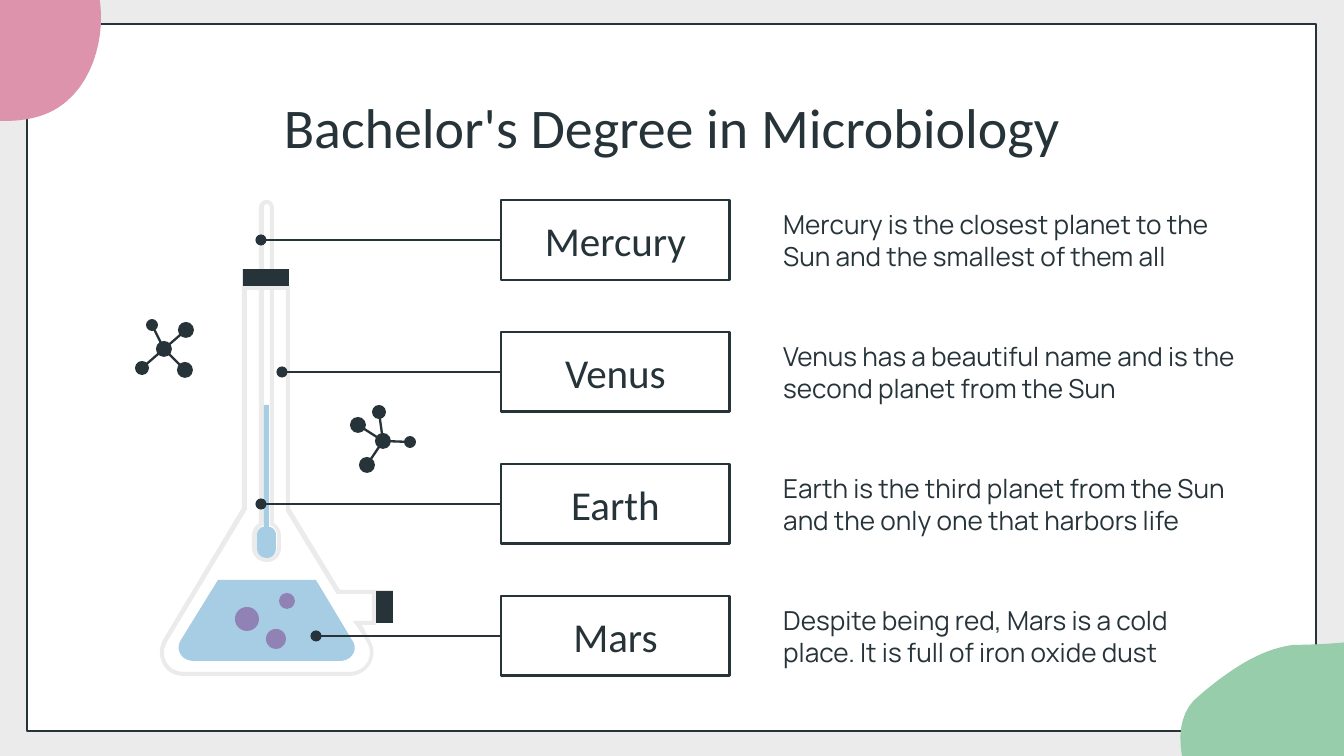
import pptx
import pptx.dml.color
import pptx.enum.shapes
import pptx.enum.text
import pptx.oxml
import pptx.oxml.ns
import pptx.util

EMU_PER_PX = 914400 / 134.4
INK, WHITE, GREY = "263339", "FFFFFF", "EBEBEB"
PINK, GREEN, BLUE, PURPLE = "DC93AB", "98CDAB", "A6CDE4", "9182B5"
SHAPE = pptx.enum.shapes.MSO_SHAPE
ALIGN = pptx.enum.text.PP_ALIGN
ANCHOR = pptx.enum.text.MSO_ANCHOR

ROWS = [
    ("Mercury", "Mercury is the closest planet to the Sun and the smallest of them all", 261),
    ("Venus", "Venus has a beautiful name and is the second planet from the Sun", 282),
    ("Earth", "Earth is the third planet from the Sun and the only one that harbors life", 261),
    ("Mars", "Despite being red, Mars is a cold place. It is full of iron oxide dust", 316),
]
PINK_BLOB = [
    (-20, -79), (-98, -79, -171, -26, -98, 75), (-74, 103, -34, 121, 5, 121),
    (28, 121, 50, 116, 67, 101), (95, 77, 106, 32, 99, -4), (86, -55, 32, -79, -20, -79),
]
GREEN_BLOB = [
    (44, 41), (37, 46, 28, 53, 20, 60), (-7, 80, -2, 120, 11, 149),
    (67, 229, 195, 216, 269, 165), (273, 163, 276, 162, 278, 159),
    (337, 118, 448, -48, 382, -93), (362, -104, 346, -99, 329, -89),
    (280, -56, 261, -33, 238, -17), (214, 1, 186, 9, 112, 10), (86, 14, 65, 26, 44, 41),
]
GLASS_INNER = [
    (89, 90), (89, 309), (88, 311), (9, 442), (1, 456, 10, 472, 26, 472), (191, 472),
    (208, 472, 217, 456, 209, 442), (200, 428), (195, 421), (214, 421), (214, 394),
    (179, 394), (178, 393), (128, 311), (128, 309), (128, 90),
]
GLASS_OUTER = [
    (132, 86), (132, 308), (182, 390), (218, 390), (218, 425), (204, 425), (212, 440),
    (222, 456, 210, 476, 191, 476), (26, 476), (17, 476, 9, 472, 5, 464),
    (1, 457, 1, 448, 5, 440), (84, 308), (84, 86),
]
TUBE_INNER = [
    (109, 4), (107, 4, 106, 6, 106, 8), (106, 325), (103, 327), (100, 328, 99, 332, 99, 336),
    (99, 348), (99, 354, 103, 358, 109, 358), (115, 358, 119, 354, 119, 348), (119, 336),
    (119, 332, 118, 328, 115, 327), (112, 325), (112, 8), (112, 6, 111, 4, 109, 4),
]
TUBE_OUTER = [
    (109, 0), (113, 0, 116, 4, 116, 8), (116, 323), (120, 326, 123, 330, 123, 336),
    (123, 348), (123, 356, 117, 362, 109, 362), (101, 362, 94, 356, 94, 348), (94, 336),
    (94, 330, 97, 326, 101, 323), (101, 8), (101, 4, 104, 0, 109, 0),
]
TUBE_FLUID = [
    (111, 205), (111, 327), (115, 327, 118, 331, 118, 335), (118, 348),
    (118, 354, 114, 358, 109, 358), (103, 358, 99, 354, 99, 348), (99, 335),
    (99, 331, 102, 327, 106, 327), (106, 205),
]
LIQUID = [
    (158, 380), (194, 440), (201, 449, 194, 461, 182, 461), (36, 461),
    (23, 461, 17, 449, 23, 440), (60, 380),
]
BUBBLES = [(129, 401, 8), (89, 419, 12), (118, 439, 10)]
STOPPERS = [(218, 391, 17, 32), (85, 69, 46, 17)]
LEFT_ATOMS = [(29, 31, 8), (17, 7, 6), (51, 12, 8), (7, 50, 7), (50, 52, 8)]
RIGHT_ATOMS = [(33, 37, 8), (29, 8, 7), (8, 21, 8), (17, 61, 8), (60, 38, 6)]


def px(*lengths):
    """Turn pixel lengths into a list of EMU."""
    return [pptx.util.Emu(round(length * EMU_PER_PX)) for length in lengths]


def paint(color_format, color):
    """Set a fill, or a line's fill, to a solid hex colour."""
    color_format.solid()
    color_format.fore_color.rgb = pptx.dml.color.RGBColor.from_string(color)


def style(shape, fill=None, line=None):
    """Give a shape its fill and outline and remove its shadow."""
    shape.shadow.inherit = False
    for color_format, color in ((shape.fill, fill), (shape.line.fill, line)):
        if color:
            paint(color_format, color)
        else:
            color_format.background()
    if line:
        shape.line.width = pptx.util.Pt(1.5)


def add_preset(shapes, kind, box, fill=None, line=None):
    """Add a styled preset shape in a pixel box."""
    shape = shapes.add_shape(kind, *px(*box))
    style(shape, fill, line)
    return shape


def add_circle(shapes, x, y, radius, fill):
    """Add a filled circle around a centre."""
    add_preset(shapes, SHAPE.OVAL, (x - radius, y - radius, 2 * radius, 2 * radius), fill)


def trace(contour, left, top, steps=12):
    """Turn a contour of lines and cubic curves into EMU points."""
    points = [contour[0]]
    for segment in contour[1:]:
        if len(segment) == 2:
            points.append(segment)
            continue
        controls = [points[-1], segment[:2], segment[2:4], segment[4:]]
        for step in range(1, steps + 1):
            t = step / steps
            weights = ((1 - t) ** 3, 3 * t * (1 - t) ** 2, 3 * t * t * (1 - t), t ** 3)
            points.append(tuple(
                sum(weight * point[axis] for weight, point in zip(weights, controls))
                for axis in (0, 1)
            ))
    return [px(left + x, top + y) for x, y in points]


def add_outline(shapes, left, top, fill, *contours):
    """Add one filled freeform made of closed contours."""
    first, *others = [trace(contour, left, top) for contour in contours]
    builder = shapes.build_freeform(*first[0])
    builder.add_line_segments(first[1:])
    for points in others:
        builder.move_to(*points[0])
        builder.add_line_segments(points[1:])
    style(builder.convert_to_shape(), fill)


def add_line(shapes, start, end, width, dotted_end=False):
    """Add a straight line, with a dot at its end if asked."""
    connector = shapes.add_connector(
        pptx.enum.shapes.MSO_CONNECTOR.STRAIGHT, *px(*start, *end))
    paint(connector.line.fill, INK)
    connector.line.width = pptx.util.Pt(width)
    if dotted_end:
        tail = pptx.oxml.parse_xml(
            f'<a:tailEnd {pptx.oxml.ns.nsdecls("a")} type="oval" w="med" len="med"/>')
        connector.line._get_or_add_ln().append(tail)
    connector._element.spPr.append(
        pptx.oxml.parse_xml(f'<a:effectLst {pptx.oxml.ns.nsdecls("a")}/>'))
    return connector


def write(shape, text, size, font, align=ALIGN.LEFT, anchor=ANCHOR.MIDDLE):
    """Write one paragraph into a shape."""
    frame = shape.text_frame
    frame.word_wrap = True
    frame.vertical_anchor = anchor
    frame.margin_left = frame.margin_right = pptx.util.Inches(0.1)
    frame.margin_top = frame.margin_bottom = pptx.util.Inches(0.1)
    paragraph = frame.paragraphs[0]
    paragraph.text = text
    paragraph.alignment = align
    paragraph.font.size = pptx.util.Pt(size)
    paragraph.font.name = font
    paint(paragraph.font.fill, INK)


def draw_backdrop(slide, width, height):
    """Draw the grey ground, the framed page and the two corner blobs."""
    paint(slide.background.fill, GREY)
    add_preset(slide.shapes, SHAPE.RECTANGLE, (27, 24, width - 55, height - 49), WHITE, INK)
    add_outline(slide.shapes, 0, 0, PINK, PINK_BLOB)
    add_outline(slide.shapes, width - 164, height - 121, GREEN, GREEN_BLOB)


def draw_title(slide, left, top, width, height):
    """Write the slide title."""
    title = slide.shapes.add_textbox(*px(left, top, width, height))
    write(title, "Bachelor's Degree in Microbiology", 30, "Calibri", ALIGN.CENTER, ANCHOR.TOP)


def draw_flask(slide, left, top):
    """Draw the flask with its thermometer, liquid and stoppers."""
    shapes = slide.shapes.add_group_shape().shapes
    add_outline(shapes, left, top, GREY, GLASS_INNER, GLASS_OUTER)
    add_outline(shapes, left, top, GREY, TUBE_INNER, TUBE_OUTER)
    add_outline(shapes, left, top, BLUE, TUBE_FLUID)
    add_outline(shapes, left, top, BLUE, LIQUID)
    for x, y, radius in BUBBLES:
        add_circle(shapes, left + x, top + y, radius, PURPLE)
    for x, y, width, height in STOPPERS:
        add_preset(shapes, SHAPE.RECTANGLE, (left + x, top + y, width, height), INK)


def draw_molecule(slide, left, top, atoms):
    """Draw a molecule whose first atom is bonded to all the others."""
    shapes = slide.shapes.add_group_shape().shapes
    centre_x, centre_y, _ = atoms[0]
    for x, y, _ in atoms[1:]:
        add_line(shapes, (left + centre_x, top + centre_y), (left + x, top + y), 1.25)
    for x, y, radius in atoms:
        add_circle(shapes, left + x, top + y, radius, INK)


def draw_row(slide, left, top, height, name, description, dot_x):
    """Draw a name box, its description and the pointer to the flask."""
    box = add_preset(slide.shapes, SHAPE.RECTANGLE, (left, top, 229, height), line=INK)
    write(box, name, 22, "Calibri", ALIGN.CENTER)
    text_box = slide.shapes.add_textbox(*px(left + 269, top, 482, height))
    write(text_box, description, 14, "Manrope")
    middle = top + height // 2
    pointer = add_line(slide.shapes, (left, middle), (dot_x, middle), 1.5, dotted_end=True)
    pointer.begin_connect(box, 1)


def main():
    """Build the slide and save it."""
    presentation = pptx.Presentation()
    presentation.slide_width, presentation.slide_height = px(1344, 756)
    slide = presentation.slides.add_slide(presentation.slide_layouts[6])
    draw_backdrop(slide, 1344, 756)
    draw_title(slide, 105, 79, 1134, 94)
    draw_flask(slide, 158, 200)
    draw_molecule(slide, 350, 404, RIGHT_ATOMS)
    draw_molecule(slide, 135, 318, LEFT_ATOMS)
    for index, row in enumerate(ROWS):
        draw_row(slide, 501, 200 + 132 * index, 80, *row)
    presentation.save("out.pptx")


if __name__ == "__main__":
    main()
